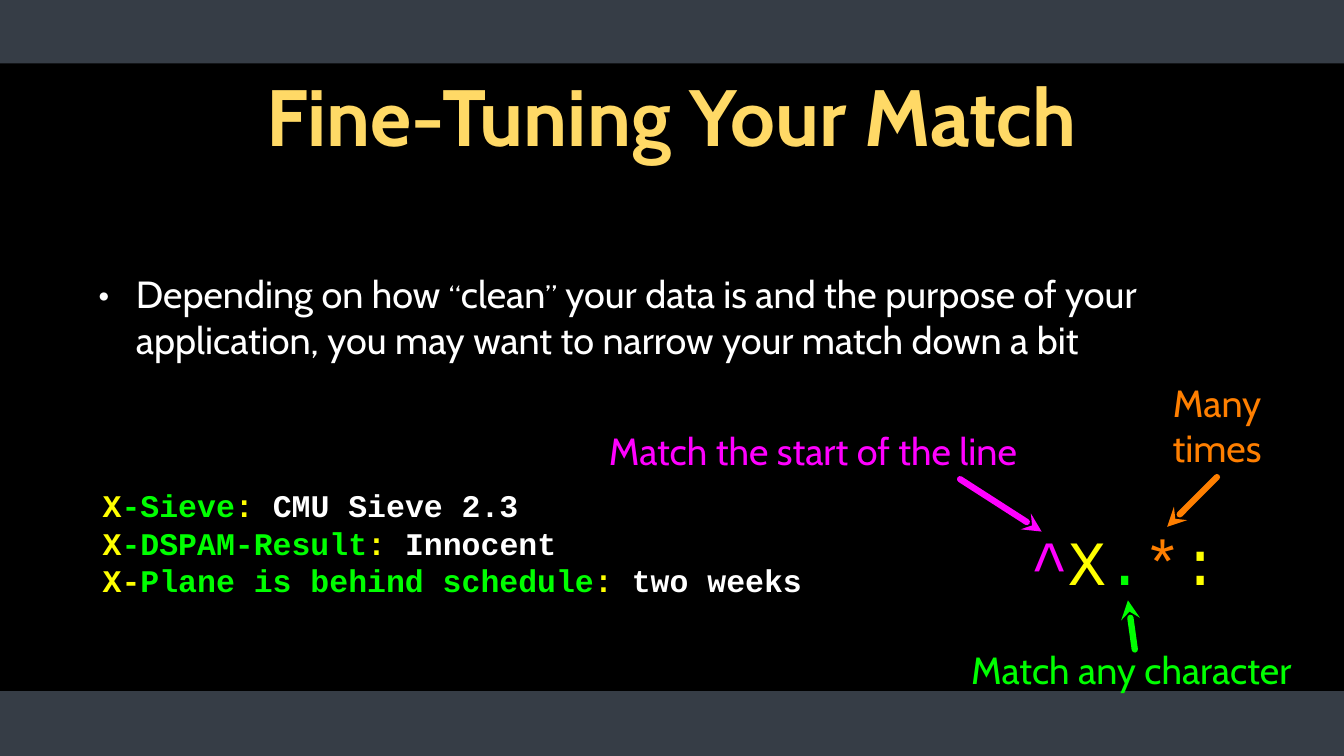
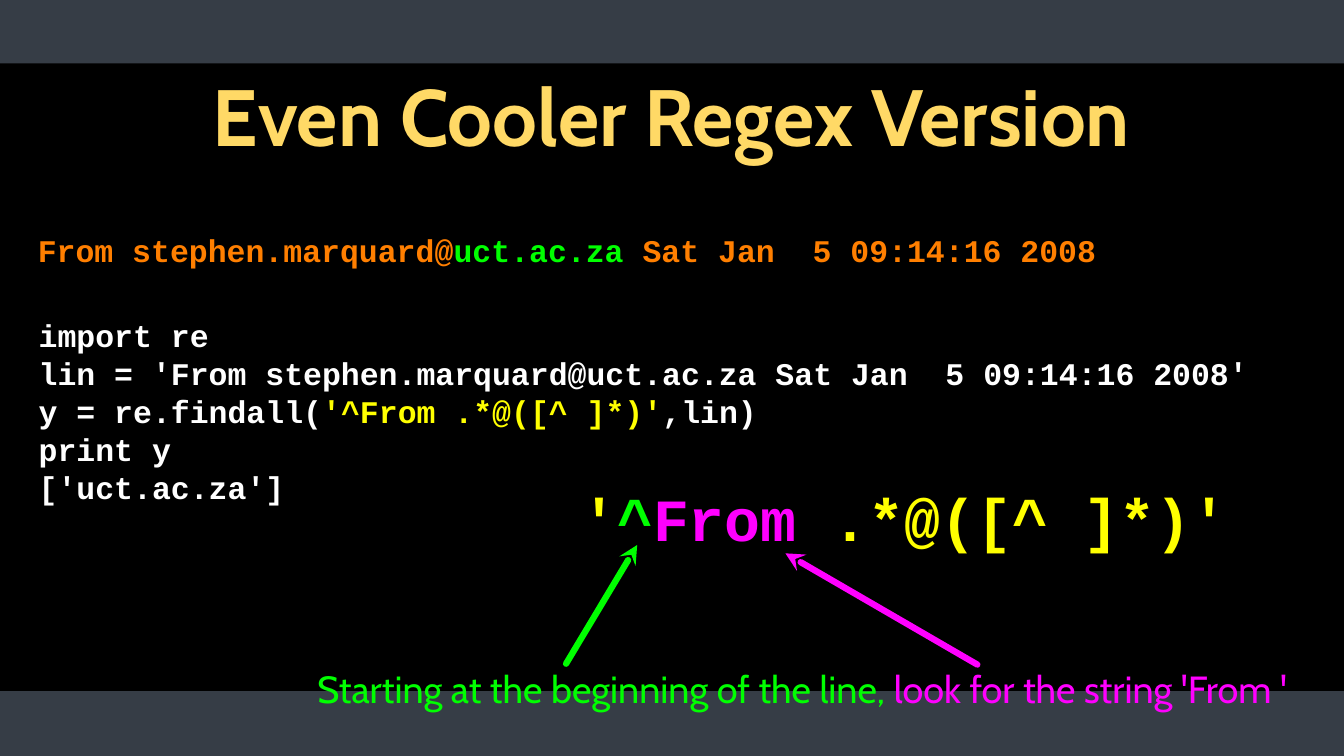
from lxml.etree import SubElement
from pptx import Presentation
from pptx.dml.color import RGBColor as RGB
from pptx.enum.shapes import MSO_CONNECTOR as CONNECTOR, MSO_SHAPE as SHAPE
from pptx.enum.text import MSO_ANCHOR as ANCHOR, PP_ALIGN as ALIGN
from pptx.oxml.ns import qn
from pptx.util import Cm, Pt

COLOURS = {
    "black": "000000", "band": "363D46", "title": "FFD966", "white": "FFFFFF",
    "yellow": "FFFF00", "green": "00FF00", "pink": "FF00FF", "orange": "FF7F00",
}
WIDTH, HEIGHT = 45.16, 25.4
BANDS = ((0, 2.13), (23.22, 2.18))  # top, height
SANS, MONO = "Cabin", "Courier New"
LABEL_SIZE, CODE_SIZE = 36, 30
LABEL_HEIGHT = 1.73


def colour(name):
    return RGB.from_string(COLOURS[name])


class Slides:
    def __init__(self):
        self.deck = Presentation()
        self.deck.slide_width, self.deck.slide_height = Cm(WIDTH), Cm(HEIGHT)
        self.page = None

    def new_page(self, title):
        self.page = self.deck.slides.add_slide(self.deck.slide_layouts[6])
        background = self.page.background.fill
        background.solid()
        background.fore_color.rgb = colour("black")
        for top, height in BANDS:
            self.band(top, height)
        self.text((3.2, 0.66, 38.71, 6.38), [[(title, "title")]], 76,
                  bold=True, align=ALIGN.CENTER, inset=0.1)

    def band(self, top, height):
        band = self.page.shapes.add_shape(
            SHAPE.RECTANGLE, Cm(0), Cm(top), Cm(WIDTH), Cm(height))
        band.shadow.inherit = False
        band.fill.solid()
        band.fill.fore_color.rgb = colour("band")
        band.line.fill.background()

    def text(self, place, lines, size, font=SANS, bold=False, align=ALIGN.LEFT, inset=0):
        """Add a text box; each line is a list of (words, colour) spans."""
        box = self.page.shapes.add_textbox(*map(Cm, place))
        frame = box.text_frame
        frame.word_wrap = True
        frame.vertical_anchor = ANCHOR.MIDDLE
        frame.margin_left = frame.margin_right = Cm(inset)
        frame.margin_top = frame.margin_bottom = Cm(inset)
        for index, line in enumerate(lines):
            para = frame.add_paragraph() if index else frame.paragraphs[0]
            para.alignment = align
            for words, name in line:
                span = para.add_run()
                span.text = words
                span.font.name, span.font.size, span.font.bold = font, Pt(size), bold
                span.font.color.rgb = colour(name)
        return frame

    def code(self, place, lines, size=CODE_SIZE, bold=True, align=ALIGN.LEFT):
        self.text(place, lines, size, MONO, bold, align)

    def label(self, left, top, width, spans, height=LABEL_HEIGHT):
        self.text((left, top, width, height), [spans], LABEL_SIZE, align=ALIGN.CENTER)

    def bullet(self, place, spans):
        """Add a bulleted paragraph whose lone quotation marks are in small capitals."""
        frame = self.text(place, [spans], LABEL_SIZE, inset=0.1)
        para = frame.paragraphs[0]
        layout = para._p.get_or_add_pPr()
        layout.set("marL", str(Cm(1.27)))
        layout.set("indent", str(-Cm(1.27)))
        bullet_colour = SubElement(layout, qn("a:buClr"))
        SubElement(bullet_colour, qn("a:srgbClr"), val=COLOURS["white"])
        SubElement(layout, qn("a:buFont"), typeface=SANS)
        SubElement(layout, qn("a:buChar"), char="•")
        for span in para.runs:
            if span.text in "“”":
                span._r.get_or_add_rPr().set("cap", "small")

    def arrow(self, tip, end, name):
        arrow = self.page.shapes.add_connector(
            CONNECTOR.STRAIGHT, *map(Cm, tip + end))
        arrow.line.color.rgb = colour(name)
        arrow.line.width = Pt(6)
        line = arrow.line._get_or_add_ln()
        line.set("cap", "rnd")
        SubElement(line, qn("a:headEnd"), type="stealth", w="med", len="med")
        SubElement(arrow._element.spPr, qn("a:effectLst"))


def fine_tuning(slides):
    slides.new_page("Fine-Tuning Your Match")
    headers = [("X", "-Sieve", "CMU Sieve 2.3"),
               ("X", "-DSPAM-Result", "Innocent"),
               ("X-", "Plane is behind schedule", "two weeks")]
    slides.code((3.45, 15.19, 24.43, 6.07), [
        [(start, "yellow"), (key, "green"), (": ", "yellow"), (value, "white")]
        for start, key, value in headers])
    pattern = [("^", "pink"), ("X", "yellow"), (".", "green"),
               ("*", "orange"), (":", "yellow")]
    slides.code((33.53, 17.48, 8.53, 2.72), [pattern], 60, False, ALIGN.CENTER)
    slides.label(20.42, 14.27, 13.79, [("Match the start of the line", "pink")])
    slides.label(31.32, 21.62, 13.39, [("Match any character", "green")])
    slides.label(37.82, 12.52, 6.15, [("Many times", "orange")], 3.51)
    slides.arrow((37.9, 20.17), (38.13, 21.82), "green")
    slides.arrow((39.22, 17.7), (40.89, 16.03), "orange")
    slides.arrow((35, 17.86), (32.26, 16.1), "pink")
    sentence = ("Depending on how ", "“", "clean", "”",
                " your data is and the purpose of your application, "
                "you may want to narrow your match down a bit")
    slides.bullet((3.2, 7.24, 38.71, 6.78), [(words, "white") for words in sentence])


def cooler_regex(slides):
    slides.new_page("Even Cooler Regex Version")
    slides.code((19.53, 16.18, 21.95, 2.44), [[
        ("'", "yellow"), ("^", "green"), ("From ", "pink"),
        (".*@([^ ]*)'", "yellow")]], 57)
    slides.label(10.57, 22.25, 32.77, [
        ("Starting at the beginning of the line, ", "green"),
        ("look for the string 'From ' ", "pink")])
    slides.arrow((21.41, 18.31), (19.02, 22.3), "green")
    slides.arrow((26.39, 18.59), (32.84, 22.33), "pink")
    slides.code((1.27, 7.47, 43, 1.88), [[
        ("From stephen.marquard@", "orange"), ("uct.ac.za", "green"),
        (" Sat Jan  5 09:14:16 2008", "orange")]])
    slides.code((1.3, 10.67, 43.79, 6.27), [
        [("import re", "white")],
        [("lin = 'From stephen.marquard@uct.ac.za Sat Jan  5 09:14:16 2008'", "white")],
        [("y = re.findall(", "white"), ("'^From .*@([^ ]*)'", "yellow"), (",lin)", "white")],
        [("print y", "white")],
        [("['uct.ac.za']", "white")]])


def main():
    slides = Slides()
    fine_tuning(slides)
    cooler_regex(slides)
    slides.deck.save("out.pptx")


if __name__ == "__main__":
    main()
